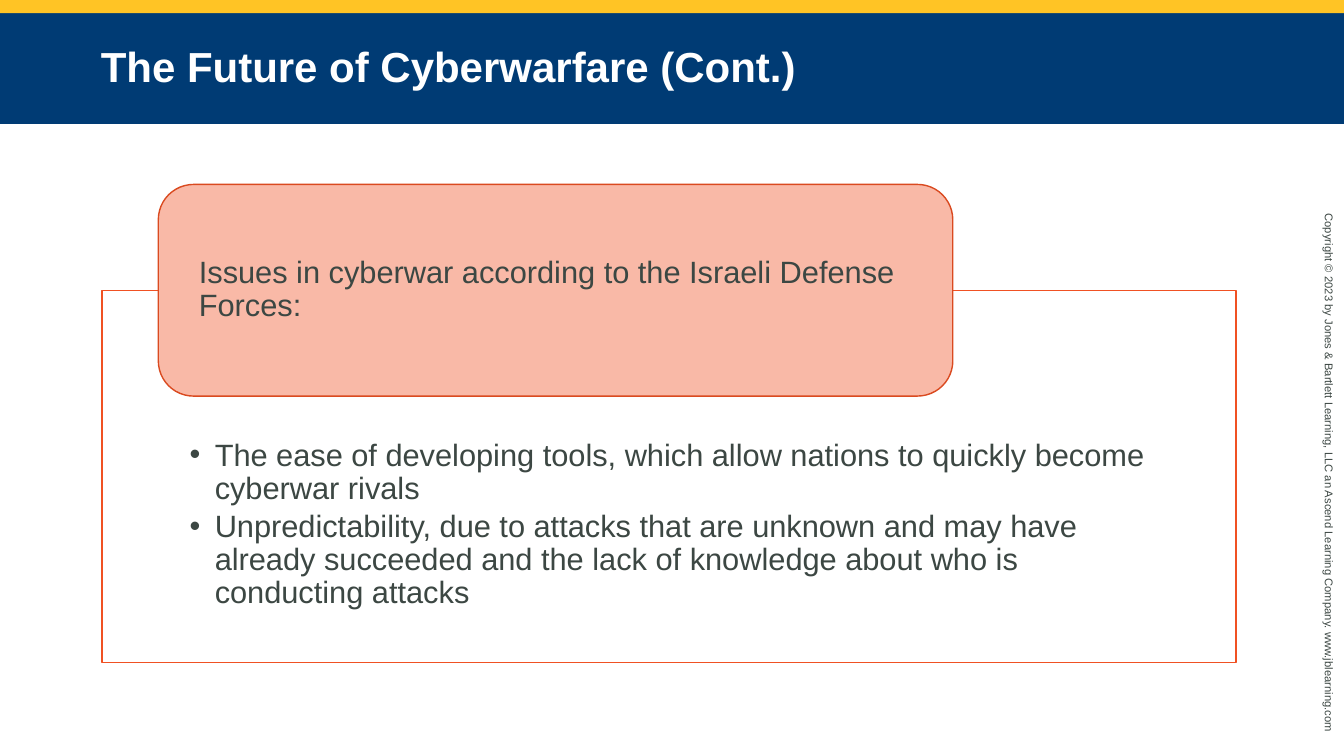
from lxml import etree
from pptx import Presentation
from pptx.dml.color import RGBColor
from pptx.enum.shapes import MSO_SHAPE
from pptx.enum.text import MSO_ANCHOR, MSO_AUTO_SIZE, PP_ALIGN
from pptx.oxml.ns import qn
from pptx.util import Inches, Pt

RECTANGLE = MSO_SHAPE.RECTANGLE
ROUNDED = MSO_SHAPE.ROUNDED_RECTANGLE
TOP, MIDDLE = MSO_ANCHOR.TOP, MSO_ANCHOR.MIDDLE
LEFT = PP_ALIGN.LEFT
NO_AUTOFIT = MSO_AUTO_SIZE.NONE

NAVY = RGBColor(0x00, 0x3B, 0x74)
GOLD = RGBColor(0xFF, 0xC4, 0x25)
WHITE = RGBColor(0xFF, 0xFF, 0xFF)
TEXT_GRAY = RGBColor(0x3C, 0x47, 0x43)
ORANGE = RGBColor(0xF0, 0x51, 0x23)
DARK_ORANGE = RGBColor(0xDA, 0x4A, 0x20)
SALMON = RGBColor(0xF9, 0xB9, 0xA7)

ISSUES = [
    "The ease of developing tools, which allow nations to quickly become "
    "cyberwar rivals",
    "Unpredictability, due to attacks that are unknown and may have already "
    "succeeded and the lack of knowledge about who is conducting attacks",
]


class SlideBuilder:
    font_name = "Arial"
    body_size = 22

    def __init__(self, presentation):
        self.slide = presentation.slides.add_slide(presentation.slide_layouts[1])

    def place(self, shape, box):
        shape.left, shape.top, shape.width, shape.height = map(Inches, box)

    def set_text(self, shape, lines, size, color, insets, anchor=TOP,
                 spacing=1.0, after=0, bold=False, bulleted=False):
        frame = shape.text_frame
        frame.text = "\n".join(lines)
        frame.word_wrap = True
        frame.auto_size = NO_AUTOFIT
        frame.vertical_anchor = anchor
        (frame.margin_left, frame.margin_top,
         frame.margin_right, frame.margin_bottom) = map(Inches, insets)
        for paragraph in frame.paragraphs:
            if bulleted:
                self.add_bullet(paragraph)
            paragraph.alignment = LEFT
            paragraph.line_spacing = spacing
            paragraph.space_before = Pt(0)
            paragraph.space_after = Pt(after)
            for run in paragraph.runs:
                run.font.name = self.font_name
                run.font.size = Pt(size)
                run.font.bold = bold
                run.font.color.rgb = color

    def add_bullet(self, paragraph):
        properties = paragraph._p.get_or_add_pPr()
        properties.set("marL", str(Inches(0.25)))
        properties.set("indent", str(Inches(-0.25)))
        etree.SubElement(properties, qn("a:buChar")).set("char", "•")

    def paint(self, shape, fill=None, line=None):
        if fill is None:
            shape.fill.background()
        else:
            shape.fill.solid()
            shape.fill.fore_color.rgb = fill
        if line is None:
            shape.line.fill.background()
        else:
            shape.line.color.rgb = line
            shape.line.width = Pt(1)

    def block(self, kind, box, fill, line=None):
        shape = self.slide.shapes.add_shape(kind, *map(Inches, box))
        shape.shadow.inherit = False
        self.paint(shape, fill, line)
        return shape

    def title(self, text, box):
        shape = self.slide.shapes.title
        self.place(shape, box)
        self.paint(shape, NAVY)
        self.set_text(shape, [text], 30, WHITE, (1, 0.05, 1, 0.05),
                      anchor=MIDDLE, spacing=0.95, bold=True)

    def framed_list(self, lines, box):
        shape = self.slide.placeholders[1]
        self.place(shape, box)
        self.paint(shape, line=ORANGE)
        self.set_text(shape, lines, self.body_size, TEXT_GRAY,
                      (0.87, 1.48, 0.87, 0.17), spacing=0.9, after=3.3,
                      bulleted=True)

    def callout(self, text, box):
        shape = self.block(ROUNDED, box, SALMON, DARK_ORANGE)
        self.set_text(shape, [text], self.body_size, TEXT_GRAY,
                      (0.3, 0, 0.3, 0), anchor=MIDDLE, spacing=0.9)

    def side_note(self, text, box):
        shape = self.slide.shapes.add_textbox(*map(Inches, box))
        shape.rotation = 90
        self.set_text(shape, [text], 8, TEXT_GRAY, (0.1, 0.05, 0.1, 0.05))


def main():
    presentation = Presentation()
    presentation.slide_width = Inches(13.33)
    presentation.slide_height = Inches(7.5)
    builder = SlideBuilder(presentation)
    builder.block(RECTANGLE, (0, 0, 13.33, 0.13), GOLD)
    builder.side_note(
        "Copyright © 2023 by Jones & Bartlett Learning, LLC an Ascend "
        "Learning Company. www.jblearning.com", (10.44, 4.64, 5.48, 0.24))
    builder.title("The Future of Cyberwarfare (Cont.)", (0, 0.13, 13.33, 1.1))
    builder.framed_list(ISSUES, (1.01, 2.88, 11.25, 3.69))
    builder.callout("Issues in cyberwar according to the Israeli Defense Forces:",
                    (1.57, 1.83, 7.88, 2.1))
    presentation.save("out.pptx")


if __name__ == "__main__":
    main()
